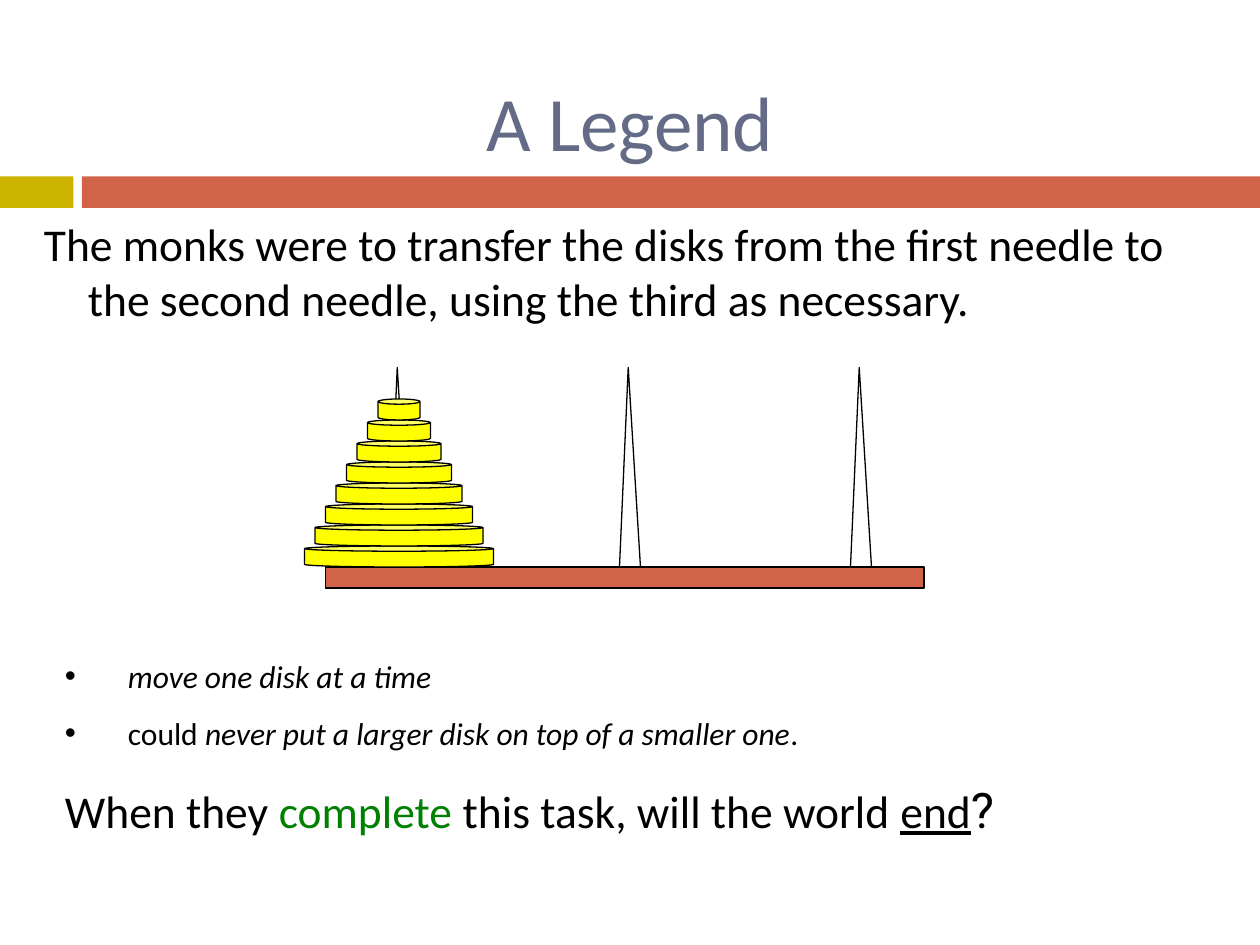
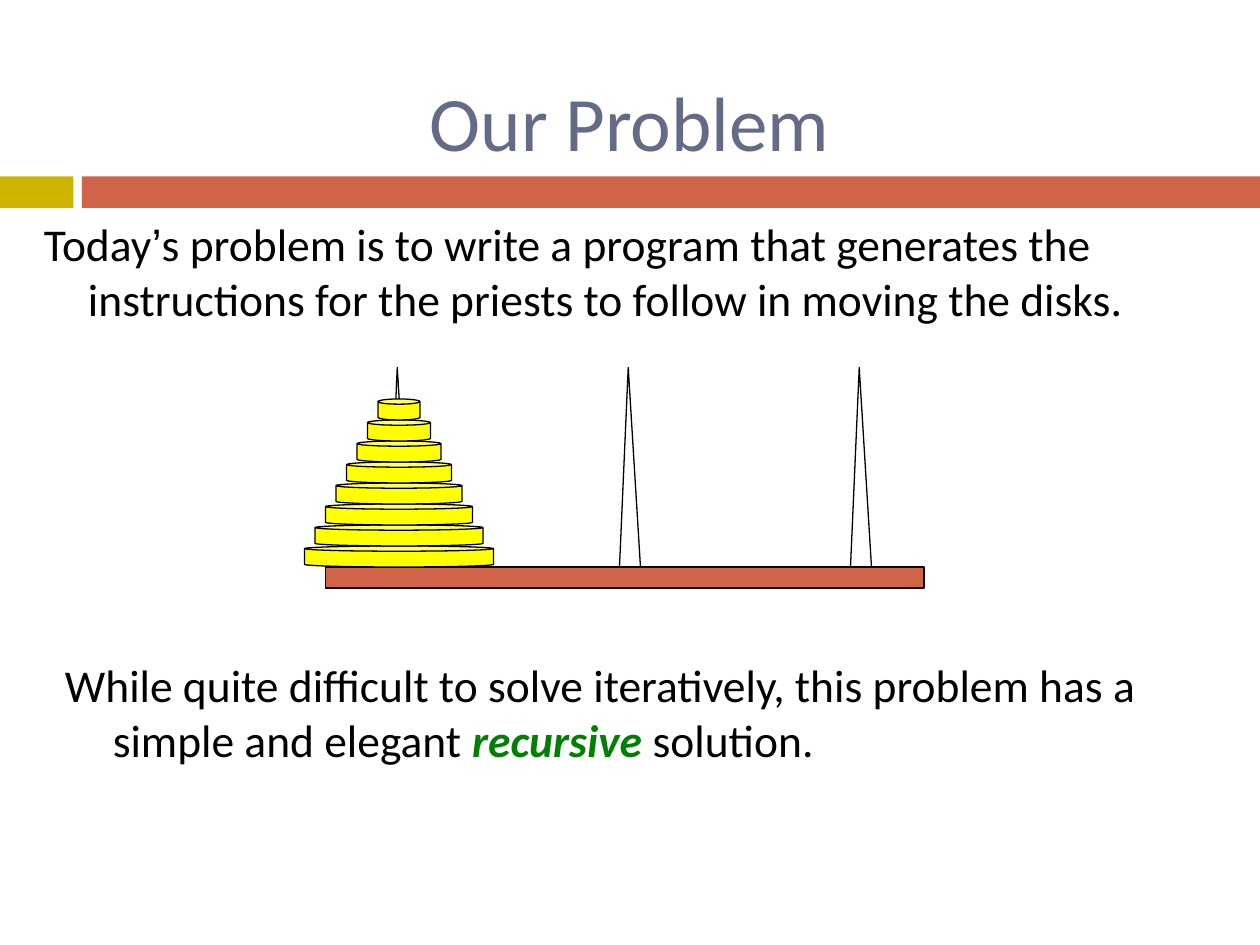
from lxml.etree import SubElement
from pptx import Presentation
from pptx.dml.color import RGBColor
from pptx.enum.shapes import MSO_SHAPE
from pptx.enum.text import MSO_ANCHOR, MSO_AUTO_SIZE, PP_ALIGN
from pptx.oxml.ns import qn
from pptx.util import Inches, Pt

WIDTH, HEIGHT = Inches(10), Inches(7.5)
COLUMNS = 120
CELL = WIDTH // COLUMNS

BLACK = RGBColor(0x00, 0x00, 0x00)
WHITE = RGBColor(0xFF, 0xFF, 0xFF)
GOLD = RGBColor(0xCC, 0xB4, 0x00)
BRICK = RGBColor(0xD1, 0x63, 0x49)
SLATE = RGBColor(0x64, 0x6B, 0x86)
GREEN = RGBColor(0x00, 0x80, 0x00)
YELLOW = RGBColor(0xFF, 0xFF, 0x00)

TITLE_BOX = (12, 4, 96, 15)
BAND_BOX = (0, 16.8, COLUMNS, 3)
INTRO_BOX = (3, 20, 115, 12)
PUZZLE_BOX = (29, 35, 59, 21)
CLOSING_BOX = (5, 62, 112, 12)

DISK_COUNT = 8
NEEDLE_COUNT = 3
NEEDLE_STEP = 22
THICKNESS = 2


def on_grid(box):
    """Turn a box in columns and rows into slide lengths."""
    return [int(length * CELL) for length in box]


def add_span(para, text, size=26, font="Calibri", color=BLACK, **style):
    """Add formatted text; style may set bold, italic or underline."""
    span = para.add_run()
    span.text = text
    span.font.size = Pt(size)
    span.font.name = font
    span.font.color.rgb = color
    for name, value in style.items():
        setattr(span.font, name, value)


def add_figure(shapes, kind, box, fill, outline=None, adjust=None):
    """Draw a flat preset shape on the grid."""
    figure = shapes.add_shape(kind, *on_grid(box))
    figure.shadow.inherit = False
    figure.fill.solid()
    figure.fill.fore_color.rgb = fill
    if outline is None:
        figure.line.fill.background()
    else:
        figure.line.color.rgb = outline
        figure.line.width = Pt(0.75)
    if adjust is not None:
        figure.adjustments[0] = adjust


def set_hanging(para, indent, bullet=None):
    """Give a paragraph a hanging indent and an optional bullet."""
    properties = para._p.get_or_add_pPr()
    properties.set("marL", str(Inches(indent)))
    properties.set("indent", str(-Inches(indent)))
    if bullet:
        color = SubElement(properties, qn("a:buClr"))
        SubElement(color, qn("a:srgbClr"), val=str(BLACK))
        SubElement(properties, qn("a:buFont"), typeface="Arial")
        SubElement(properties, qn("a:buChar"), char=bullet)


def add_text(page, box, paragraphs):
    """Fill a text box from paragraphs of (indent, bullet, space, spans)."""
    frame = page.shapes.add_textbox(*on_grid(box)).text_frame
    frame.word_wrap = True
    for number, (indent, bullet, space, spans) in enumerate(paragraphs):
        para = frame.add_paragraph() if number else frame.paragraphs[0]
        set_hanging(para, indent, bullet)
        if number:
            para.space_before = Pt(space)
        for text, style in spans:
            add_span(para, text, **style)


def add_title(page, text):
    """Move and format the title placeholder."""
    title = page.shapes.title
    title.left, title.top, title.width, title.height = on_grid(TITLE_BOX)
    frame = title.text_frame
    frame.auto_size = MSO_AUTO_SIZE.NONE
    frame.vertical_anchor = MSO_ANCHOR.MIDDLE
    para = frame.paragraphs[0]
    para.alignment = PP_ALIGN.CENTER
    add_span(para, text, size=44, color=SLATE)


def add_bands(page, box):
    """Draw the gold tab and the brick band under the title."""
    left, top, width, height = box
    tab, band_start = 7, 7.8
    add_figure(page.shapes, MSO_SHAPE.RECTANGLE, (left, top, tab, height), GOLD)
    band = (left + band_start, top, width - band_start, height)
    add_figure(page.shapes, MSO_SHAPE.RECTANGLE, band, BRICK)


def add_puzzle(page, box):
    """Draw the needles on their board and the tower of disks."""
    left, top, width, height = box
    board_top = top + height - THICKNESS
    stand = page.shapes.add_group_shape().shapes
    for needle in range(NEEDLE_COUNT):
        place = (left + 8 + needle * NEEDLE_STEP, top, 2, height - THICKNESS)
        add_figure(stand, MSO_SHAPE.ISOSCELES_TRIANGLE, place, WHITE, BLACK, 0.417)
    board = (left + 2, board_top, width - 2, THICKNESS)
    add_figure(stand, MSO_SHAPE.RECTANGLE, board, BRICK, BLACK)
    tower = page.shapes.add_group_shape().shapes
    for level in range(DISK_COUNT):
        disk = (left + level, board_top - (level + 1) * THICKNESS,
                2 * (DISK_COUNT + 1 - level), THICKNESS)
        add_figure(tower, MSO_SHAPE.CAN, disk, YELLOW, BLACK, 0.25)


def add_puzzle_slide(deck, title, intro, closing):
    """Add a slide with an introduction, the puzzle and closing text."""
    page = deck.slides.add_slide(deck.slide_layouts[5])
    add_bands(page, BAND_BOX)
    add_title(page, title)
    add_text(page, INTRO_BOX, [(0.35, None, 0, intro)])
    add_text(page, CLOSING_BOX, closing)
    add_puzzle(page, PUZZLE_BOX)


def main():
    """Build and save the deck."""
    deck = Presentation()
    deck.slide_width, deck.slide_height = WIDTH, HEIGHT
    rule = {"size": 18}
    stressed = {"size": 18, "italic": True}
    add_puzzle_slide(
        deck, "A Legend",
        [("The monks were to transfer the disks from the first needle to "
          "the second needle, using the third as necessary.", {})],
        [(0.5, "•", 0, [("move one disk at a time", stressed)]),
         (0.5, "•", 10.8, [
             ("could ", rule),
             ("never put a larger disk on top of a smaller one", stressed),
             (".", rule)]),
         (0.38, None, 16, [
             ("When they ", {}),
             ("complete", {"color": GREEN}),
             (" this task, will the world ", {}),
             ("end", {"underline": True}),
             ("?", {"size": 28, "font": "Roboto"})])])
    add_puzzle_slide(
        deck, "Our Problem",
        [("Today", {}), ("’", {"font": "Arial"}),
         ("s problem is to write a program that generates the instructions "
          "for the priests to follow in moving the disks.", {})],
        [(0.38, None, 0, [
            ("While quite difficult to solve iteratively, this problem has a "
             "simple and elegant ", {}),
            ("recursive ", {"color": GREEN, "bold": True, "italic": True}),
            ("solution.", {})])])
    deck.save("out.pptx")


if __name__ == "__main__":
    main()
